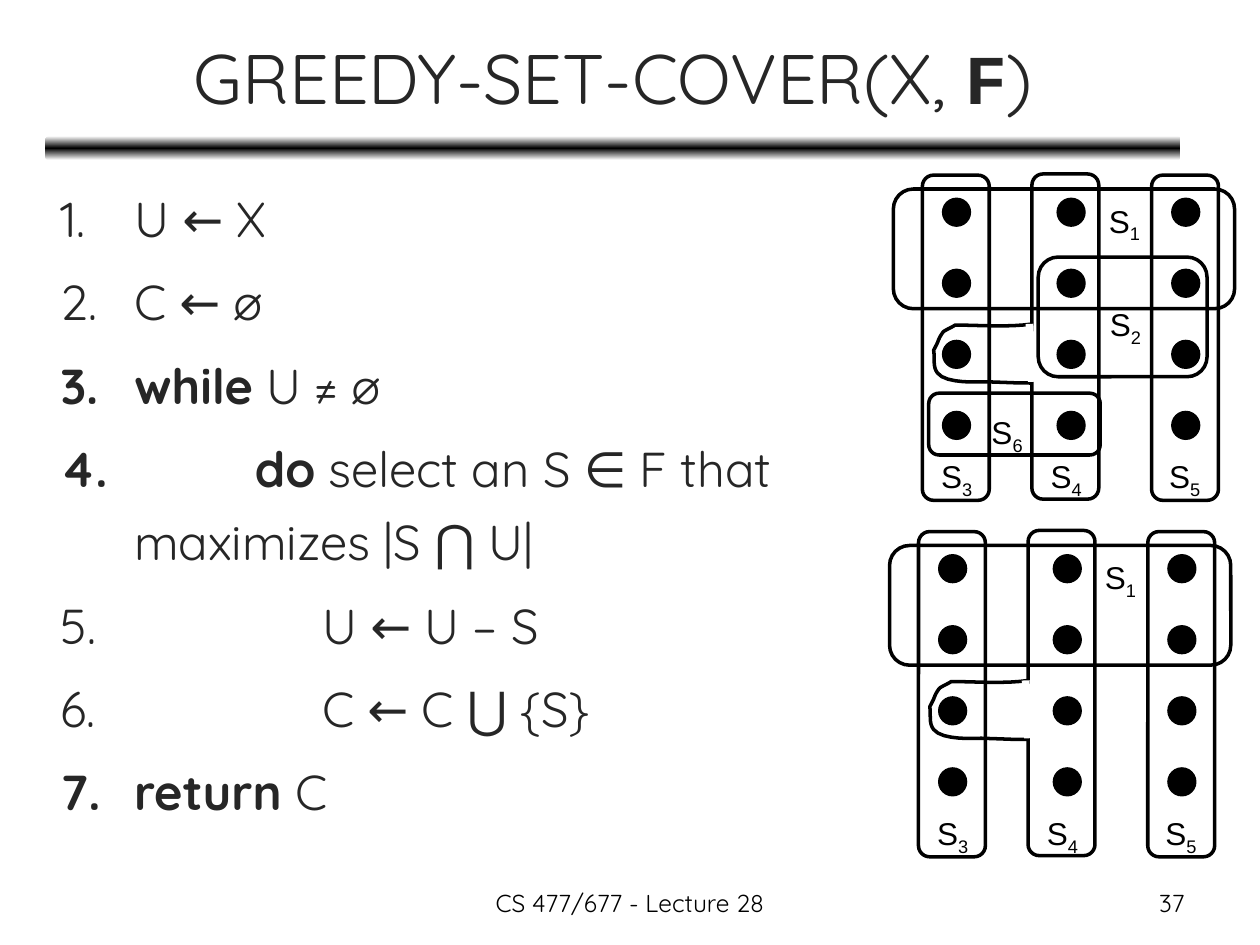
from copy import deepcopy

from pptx import Presentation
from pptx.dml.color import RGBColor
from pptx.enum.shapes import MSO_CONNECTOR as Link, MSO_SHAPE as Preset
from pptx.enum.text import MSO_ANCHOR as Anchor, MSO_AUTO_SIZE as Fit, PP_ALIGN as Align
from pptx.oxml.ns import qn
from pptx.oxml.xmlchemy import OxmlElement
from pptx.util import Pt

INK, BLACK, WHITE = "262626", "000000", "FFFFFF"
SANS, LABEL_FONT, MONO = "Quicksand", "Arial", "Courier New"

# Number, text indent, spans as (text, bold); no number continues a step
STEPS = [
    (1, 42, [("U ← X", False)]),
    (2, 42, [("C ← ∅", False)]),
    (3, 42, [("while", True), (" U ≠ ∅", False)]),
    (4, 111, [("do", True), (" select an S ∈ F that", False)]),
    (None, 42, [("maximizes |S ⋂ U|", False)]),
    (5, 149.5, [("U ← U – S", False)]),
    (6, 149.5, [("C ← C ⋃ {S}", False)]),
    (7, 42, [("return", True), (" C", False)]),
]

# Sets: number -> outline box and label corner, relative to the diagram
SETS = {
    1: ((0, 8.6, 195, 68.4), (116, 12.2)),
    2: ((82.8, 47.5, 96.5, 68.4), (116.6, 71.3)),
    3: ((16.6, 0.7, 38.2, 185.8), (20.2, 158.4)),
    4: ((79.2, 0, 38.2, 185.8), (82.8, 158.4)),
    5: ((147.6, 0.7, 38.2, 185.8), (150.5, 158.4)),
    6: ((20.2, 125.3, 98, 35.3), (49, 133.2)),
}

# Side bulge of S4: start point, then Bézier segments
BULGE_START = (79.9, 85.7)
BULGE = [
    ((65.5, 87.8), (49.7, 86.4), (35.3, 86.4)),
    ((33.1, 87.8), (31, 88.6), (28.8, 90)),
    ((27.4, 91.4), (25.9, 94.3), (25.2, 96.5)),
    ((24.5, 97.9), (23, 100.8), (23, 100.8)),
    ((23.8, 105.1), (22.3, 110.2), (25.2, 113.8)),
    ((30.2, 120.2), (49, 118.8), (52.6, 118.8)),
    ((74.2, 119.5), (67.7, 119.5), (79.2, 119.5)),
]


def color(value):
    return RGBColor.from_string(value)


def add_span(para, text, ink, **formats):
    span = para.add_run()
    span.text = text
    span.font.color.rgb = color(ink)
    for name, value in formats.items():
        setattr(span.font, name, value)
    return span


def place(shape, box):
    for name, value in zip(("left", "top", "width", "height"), box):
        setattr(shape, name, Pt(value))


def add_preset(page, preset, box, fill=None, line=None, width=2):
    shape = page.shapes.add_shape(preset, *map(Pt, box))
    style_outline(shape, fill, line, width)
    return shape


def style_outline(shape, fill, line, width):
    shape.shadow.inherit = False
    if fill:
        shape.fill.solid()
        shape.fill.fore_color.rgb = color(fill)
    else:
        shape.fill.background()
    if line:
        shape.line.color.rgb = color(line)
        shape.line.width = Pt(width)
    else:
        shape.line.fill.background()


def draw_rule(page, box):
    bar = add_preset(page, Preset.ROUNDED_RECTANGLE, box)
    bar.fill.gradient()
    bar.fill.gradient_angle = 90
    # Third stop for a white-black-white blend
    first = bar.fill.gradient_stops[0]._gs
    first.addnext(deepcopy(first))
    for stop, position, shade in zip(bar.fill.gradient_stops, (0, 0.5, 1), (WHITE, BLACK, WHITE)):
        stop.position = position
        stop.color.rgb = color(shade)


def fill_title(page, box):
    title = page.shapes.title
    place(title, box)
    title.text_frame.vertical_anchor = Anchor.MIDDLE
    title.text_frame.auto_size = Fit.NONE
    para = title.text_frame.paragraphs[0]
    para.alignment = Align.CENTER
    for text, font, bold in (("GREEDY-SET-COVER(X, ", SANS, False), ("F", MONO, True), (")", SANS, False)):
        add_span(para, text, INK, size=Pt(40), name=font, bold=bold)


def set_number(para, number, indent):
    props = para._p.get_or_add_pPr()
    props.set("marL", str(Pt(indent)))
    props.set("indent", str(-Pt(indent) if number else 0))
    if number:
        bullet = OxmlElement("a:buAutoNum")
        bullet.set("type", "arabicPeriod")
        bullet.set("startAt", str(number))
    else:
        bullet = OxmlElement("a:buNone")
    props.append(bullet)


def fill_steps(page, box):
    body = page.placeholders[1]
    place(body, box)
    frame = body.text_frame
    frame.auto_size = Fit.NONE
    for index, (number, indent, spans) in enumerate(STEPS):
        para = frame.add_paragraph() if index else frame.paragraphs[0]
        set_number(para, number, indent)
        para.line_spacing = 1.24
        para.space_before = Pt(6 if index and number else 0)
        for text, bold in spans:
            add_span(para, text, INK, size=Pt(28), name=SANS, bold=bold)


def add_label(page, number, left, top):
    frame = page.shapes.add_textbox(Pt(left), Pt(top), Pt(33), Pt(29)).text_frame
    frame.word_wrap = False
    para = frame.paragraphs[0]
    add_span(para, "S", BLACK, size=Pt(18), name=LABEL_FONT)
    digit = add_span(para, str(number), BLACK, size=Pt(18), name=LABEL_FONT)
    digit.font._element.set("baseline", "-25000")


def bezier_points(start, segments, steps=8):
    for first, second, end in segments:
        for step in range(1, steps + 1):
            t = step / steps
            weights = ((1 - t) ** 3, 3 * t * (1 - t) ** 2, 3 * t * t * (1 - t), t ** 3)
            yield tuple(sum(w * p[axis] for w, p in zip(weights, (start, first, second, end)))
                        for axis in (0, 1))
        start = end


def draw_bulge(page, left, top):
    def shift(point):
        return Pt(left + point[0]), Pt(top + point[1])

    builder = page.shapes.build_freeform(*shift(BULGE_START), scale=1.0)
    builder.add_line_segments([shift(p) for p in bezier_points(BULGE_START, BULGE)], close=False)
    style_outline(builder.convert_to_shape(), None, BLACK, 2)
    # White stroke opens the side of S4
    gap = page.shapes.add_connector(Link.STRAIGHT, *shift((77.8, 85.7)), *shift((79.2, 118.8)))
    gap.line.color.rgb = color(WHITE)
    gap.line.width = Pt(4.5)
    gap._element.find(qn("p:spPr")).append(OxmlElement("a:effectLst"))


def draw_cover(page, left, top, numbers):
    # Elements: three columns of four dots
    for column in range(3):
        for row in range(4):
            dot = (left + 28.1 + 65.5 * column, top + 13.9 + 40.6 * row, 16, 16)
            add_preset(page, Preset.OVAL, dot, BLACK, BLACK, 0.75)
    # Subsets, with S4 last so its gap lies on top
    for number in numbers:
        (x, y, width, height), (label_x, label_y) = SETS[number]
        add_preset(page, Preset.ROUNDED_RECTANGLE, (left + x, top + y, width, height), line=BLACK)
        if number == 4:
            draw_bulge(page, left, top)
        add_label(page, number, left + label_x, top + label_y)


def add_footer(page, box, text, alignment):
    frame = page.shapes.add_textbox(*map(Pt, box)).text_frame
    frame.word_wrap = True
    para = frame.paragraphs[0]
    para.alignment = alignment
    add_span(para, text, BLACK, size=Pt(14), name=SANS)


def main():
    deck = Presentation()
    deck.slide_width, deck.slide_height = Pt(720), Pt(540)
    page = deck.slides.add_slide(deck.slide_layouts[1])
    draw_rule(page, (26, 77.8, 648.7, 13.7))
    fill_title(page, (26.6, 8, 648, 71))
    fill_steps(page, (27.4, 96, 501, 422))
    draw_cover(page, 510.5, 99.4, (3, 5, 2, 6, 1, 4))
    draw_cover(page, 508.3, 303.1, (3, 5, 1, 4))
    add_footer(page, (516, 504, 168, 25), "37", Align.RIGHT)
    add_footer(page, (246, 504, 228, 25), "CS 477/677 - Lecture 28", Align.CENTER)
    deck.save("out.pptx")


if __name__ == "__main__":
    main()
